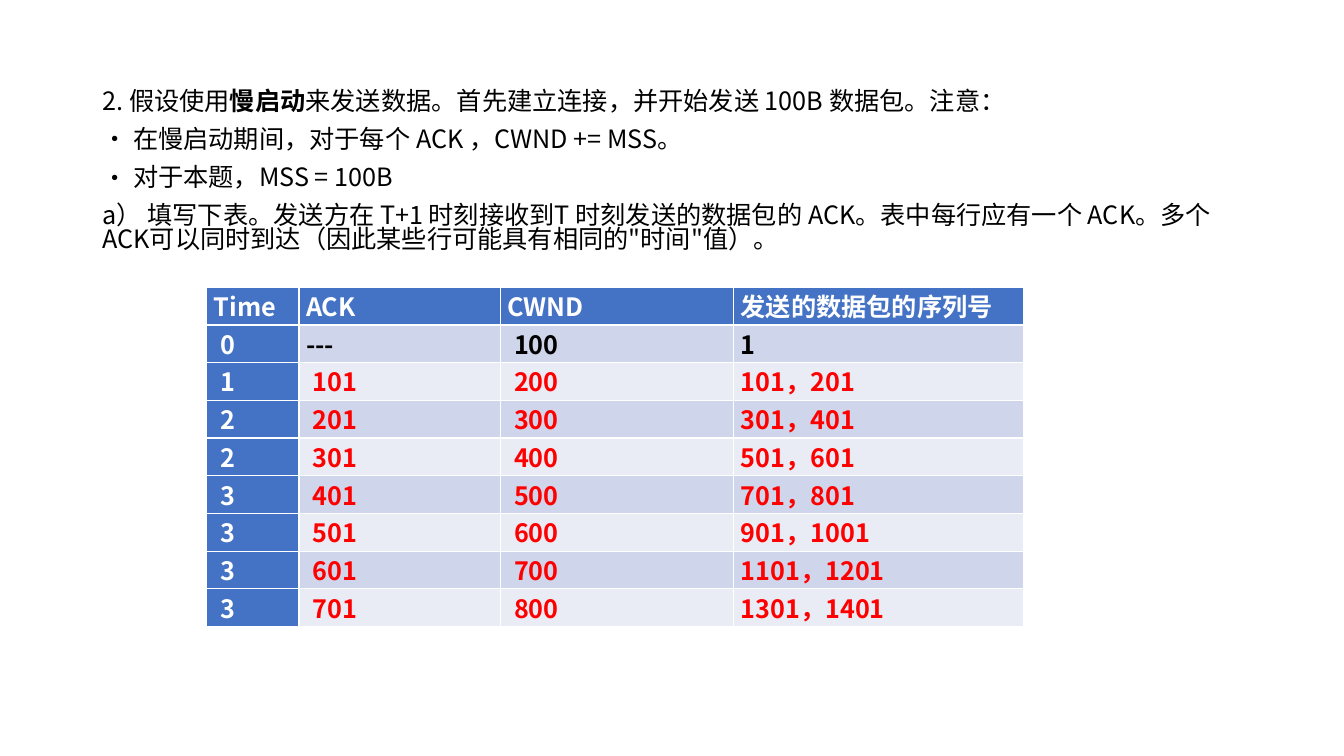
import pptx
import pptx.dml.color
import pptx.enum.text
import pptx.oxml.ns
import pptx.util
from lxml import etree

COLORS = {
    "text": "000000",
    "answer": "FF0000",
    "heading": "FFFFFF",
    "header": "4472C4",
    "odd_row": "CFD5EA",
    "even_row": "E9EBF5",
}


class SlideBuilder:
    font_name = "Noto Sans CJK SC"
    font_size = pptx.util.Pt(18)
    columns, rows = 160, 90
    bullet_indent = 3.65

    def __init__(self, presentation):
        self.column = presentation.slide_width / self.columns
        self.row = presentation.slide_height / self.rows
        self.slide = presentation.slides.add_slide(presentation.slide_layouts[1])
        title = self.slide.shapes.title.element
        title.getparent().remove(title)

    def across(self, count):
        return pptx.util.Emu(round(count * self.column))

    def down(self, count):
        return pptx.util.Emu(round(count * self.row))

    def box(self, left, top, width, height):
        return self.across(left), self.down(top), self.across(width), self.down(height)

    def color(self, name):
        return pptx.dml.color.RGBColor.from_string(COLORS[name])

    def format_run(self, run, color, bold):
        run.font.size = self.font_size
        run.font.name = self.font_name
        run.font.bold = bold
        run.font.color.rgb = self.color(color)
        east_asian = etree.SubElement(run.font._element, pptx.oxml.ns.qn("a:ea"))
        east_asian.set("typeface", self.font_name)

    def set_bullet(self, paragraph, bulleted):
        properties = paragraph._p.get_or_add_pPr()
        indent = self.across(self.bullet_indent) if bulleted else 0
        properties.set("marL", str(int(indent)))
        properties.set("indent", str(-int(indent)))
        if bulleted:
            font = etree.SubElement(properties, pptx.oxml.ns.qn("a:buFont"))
            font.set("typeface", self.font_name)
            bullet = etree.SubElement(properties, pptx.oxml.ns.qn("a:buChar"))
            bullet.set("char", "•")
        else:
            etree.SubElement(properties, pptx.oxml.ns.qn("a:buNone"))

    def body(self, box, paragraphs):
        shape = self.slide.placeholders[1]
        shape.left, shape.top, shape.width, shape.height = self.box(*box)
        text_frame = shape.text_frame
        text_frame.word_wrap = True
        text_frame.auto_size = pptx.enum.text.MSO_AUTO_SIZE.NONE
        text_frame.vertical_anchor = pptx.enum.text.MSO_ANCHOR.TOP
        for index, (bulleted, parts) in enumerate(paragraphs):
            paragraph = text_frame.add_paragraph() if index else text_frame.paragraphs[0]
            paragraph.line_spacing = 0.8
            paragraph.space_before = pptx.util.Pt(10)
            self.set_bullet(paragraph, bulleted)
            for part_index, part in enumerate(parts):
                run = paragraph.add_run()
                run.text = part
                self.format_run(run, "text", part_index % 2 == 1)

    def cell(self, cell, text, fill, color, indented):
        cell.fill.solid()
        cell.fill.fore_color.rgb = self.color(fill)
        cell.margin_left = self.across(1.6 if indented else 0.84)
        cell.margin_right = self.across(0.84)
        cell.margin_top = cell.margin_bottom = 0
        cell.text_frame.text = text
        paragraph = cell.text_frame.paragraphs[0]
        paragraph.alignment = pptx.enum.text.PP_ALIGN.JUSTIFY
        self.format_run(paragraph.runs[0], color, True)

    def table(self, left, top, widths, row_height, records):
        box = self.box(left, top, sum(widths), row_height * len(records))
        table = self.slide.shapes.add_table(len(records), len(widths), *box).table
        table.first_col = True
        for column, width in zip(table.columns, widths):
            column.width = self.across(width)
        for row_index, record in enumerate(records):
            table.rows[row_index].height = self.down(row_height)
            band = "odd_row" if row_index % 2 else "even_row"
            for column_index, text in enumerate(record):
                heading = row_index == 0 or column_index == 0
                value_color = "text" if row_index == 1 else "answer"
                self.cell(
                    table.cell(row_index, column_index),
                    text,
                    "header" if heading else band,
                    "heading" if heading else value_color,
                    text.isdigit() and column_index < len(widths) - 1,
                )


presentation = pptx.Presentation()
presentation.slide_width = pptx.util.Inches(13.33)
presentation.slide_height = pptx.util.Inches(7.5)
builder = SlideBuilder(presentation)

builder.body((11, 10.2, 138, 69.7), [
    (False, ["2. 假设使用", "慢启动", "来发送数据。首先建立连接，并开始发送 100B 数据包。注意："]),
    (True, ["在慢启动期间，对于每个 ACK ，CWND += MSS。"]),
    (True, ["对于本题，MSS = 100B"]),
    (False, ["a） 填写下表。发送方在 T+1 时刻接收到T 时刻发送的数据包的 ACK。"
             "表中每行应有一个 ACK。多个 ACK可以同时到达"
             "（因此某些行可能具有相同的\"时间\"值）。"]),
])

builder.table(24.6, 34.2, [11, 24, 27.75, 34.5], 4.49, [
    ("Time", "ACK", "CWND", "发送的数据包的序列号"),
    ("0", "---", "100", "1"),
    ("1", "101", "200", "101，201"),
    ("2", "201", "300", "301，401"),
    ("2", "301", "400", "501，601"),
    ("3", "401", "500", "701，801"),
    ("3", "501", "600", "901，1001"),
    ("3", "601", "700", "1101，1201"),
    ("3", "701", "800", "1301，1401"),
])

presentation.save("out.pptx")
